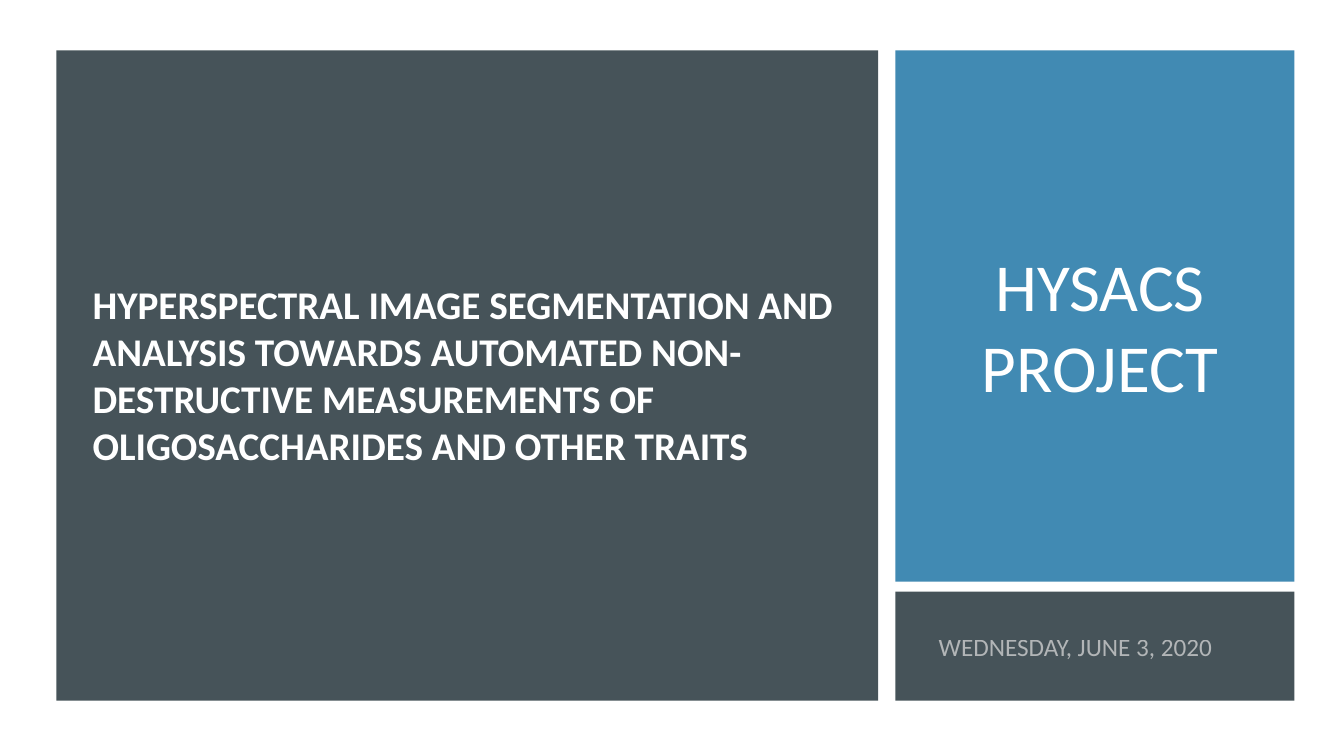
import pptx
import pptx.dml.color
import pptx.enum.shapes
import pptx.enum.text
import pptx.oxml.ns
import pptx.util
from lxml import etree

Inches = pptx.util.Inches
Pt = pptx.util.Pt
Align = pptx.enum.text.PP_ALIGN
Anchor = pptx.enum.text.MSO_ANCHOR
AutoSize = pptx.enum.text.MSO_AUTO_SIZE

TOP, BOTTOM = 0.5, 6.95
SIDE_LEFT, SIDE_WIDTH = 8.88, 3.96
TEXT_LEFT, TEXT_WIDTH = 9.16, 3.5
DATE_TOP = 5.87


def color(value):
    return pptx.dml.color.RGBColor.from_string(value)


def write(box, text, size=18, fill="FFFFFF", opacity=100, bold=False, font="Calibri",
          align=Align.LEFT, anchor=Anchor.TOP, before=0, after=0,
          inset=0.1, auto_size=AutoSize.NONE):
    """Put one formatted paragraph into a box."""
    frame = box.text_frame
    frame.word_wrap = True
    frame.auto_size = auto_size
    frame.vertical_anchor = anchor
    frame.margin_left = Inches(inset)
    frame.margin_right = Inches(0.1)
    frame.margin_top = frame.margin_bottom = Inches(0.05)
    para = frame.paragraphs[0]
    para.alignment = align
    para.line_spacing = 1.0
    para.space_before, para.space_after = Pt(before), Pt(after)
    span = para.add_run()
    span.text = text
    span.font.name = font
    span.font.size = Pt(size)
    span.font.bold = bold
    span.font.color.rgb = color(fill)
    if opacity < 100:
        tag = pptx.oxml.ns.qn("a:srgbClr")
        shade = next(span.font._element.iter(tag))
        alpha = etree.SubElement(shade, pptx.oxml.ns.qn("a:alpha"))
        alpha.set("val", str(opacity * 1000))


class CoverSlide:
    dark = "465359"
    accent = "418AB3"

    def __init__(self, deck):
        self.page = deck.slides.add_slide(deck.slide_layouts[5])

    def panel(self, left, top, width, height, fill):
        box = self.page.shapes.add_shape(
            pptx.enum.shapes.MSO_SHAPE.RECTANGLE,
            Inches(left), Inches(top), Inches(width), Inches(height))
        box.shadow.inherit = False
        box.fill.solid()
        box.fill.fore_color.rgb = color(fill)
        box.line.fill.background()

    def title(self, left, top, width, height, text, **style):
        """Place the title placeholder in front of the panels."""
        box = self.page.shapes.title
        box.left, box.top = Inches(left), Inches(top)
        box.width, box.height = Inches(width), Inches(height)
        self.page.shapes._spTree.append(box._element)
        write(box, text, **style)

    def text(self, left, top, width, height, text, **style):
        box = self.page.shapes.add_textbox(
            Inches(left), Inches(top), Inches(width), Inches(height))
        write(box, text, **style)


def main():
    deck = pptx.Presentation()
    deck.slide_width, deck.slide_height = Inches(13.33), Inches(7.5)
    cover = CoverSlide(deck)

    cover.panel(SIDE_LEFT, TOP, SIDE_WIDTH, 5.27, cover.accent)
    cover.title(TEXT_LEFT, 0.93, TEXT_WIDTH, 4.59, "HYSACS PROJECT",
                size=48, align=Align.CENTER, anchor=Anchor.MIDDLE)

    cover.panel(SIDE_LEFT, DATE_TOP, SIDE_WIDTH, BOTTOM - DATE_TOP, cover.dark)
    cover.text(TEXT_LEFT, 6.06, TEXT_WIDTH, 0.71, "WEDNESDAY, JUNE 3, 2020",
               fill="D7D7D7", opacity=75, anchor=Anchor.MIDDLE,
               before=3.6, after=6, inset=0.15)

    cover.panel(0.56, TOP, 8.15, BOTTOM - TOP, cover.dark)
    cover.text(0.82, 2.73, 7.74, 1.99,
               "HYPERSPECTRAL IMAGE SEGMENTATION AND ANALYSIS TOWARDS AUTOMATED "
               "NON-DESTRUCTIVE MEASUREMENTS OF OLIGOSACCHARIDES AND OTHER TRAITS",
               size=28, bold=True, auto_size=AutoSize.SHAPE_TO_FIT_TEXT)

    deck.save("out.pptx")


if __name__ == "__main__":
    main()
